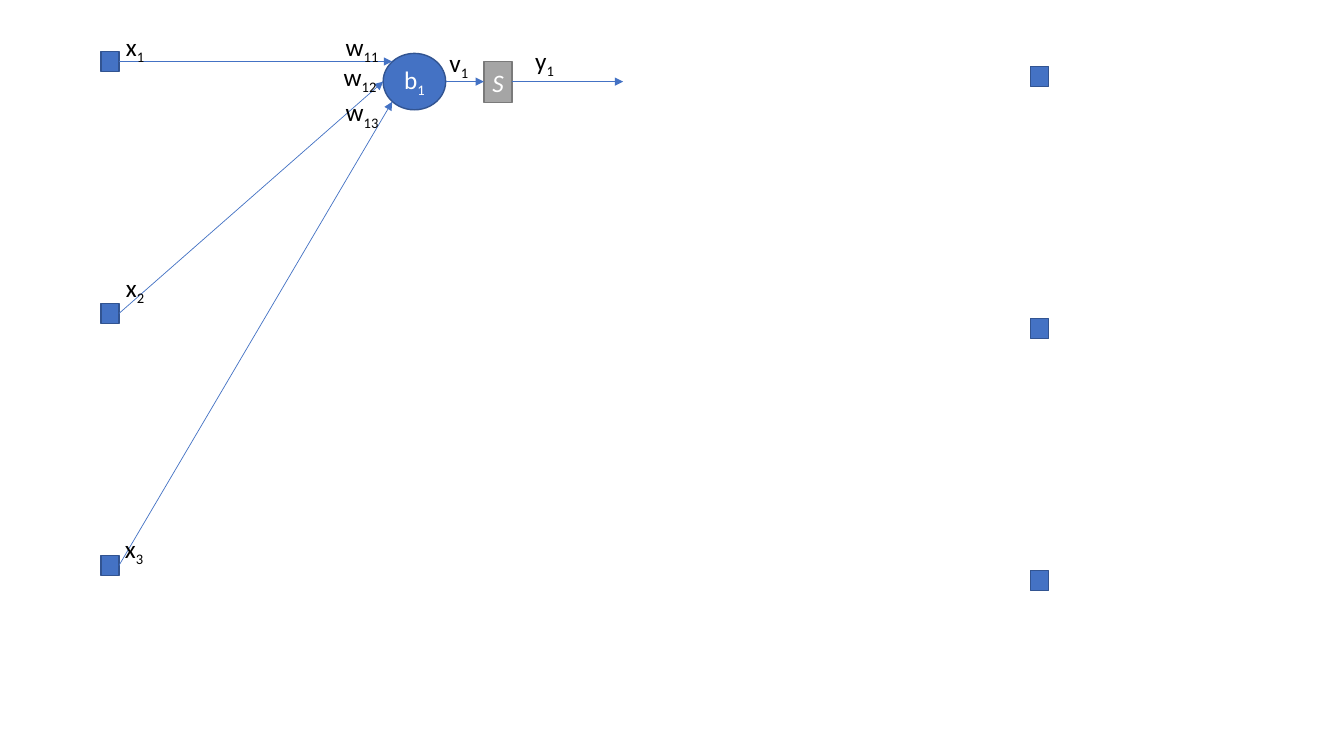
from typing import NamedTuple

from lxml import etree
from pptx import Presentation, util as u
from pptx.dml.color import RGBColor
from pptx.enum import shapes, text
from pptx.oxml import ns

BLUE = RGBColor(0x44, 0x72, 0xC4)
DARK_BLUE = RGBColor(0x32, 0x54, 0x91)
GRAY = RGBColor(0xA5, 0xA5, 0xA5)
DARK_GRAY = RGBColor(0x7A, 0x7A, 0x7A)
WHITE = RGBColor(0xFF, 0xFF, 0xFF)
BLACK = RGBColor(0, 0, 0)
GRID = u.Inches(0.1)
NODE_WIDTH, NODE_HEIGHT, NODE_PITCH = 1.8, 2, 25
INPUT_LEFT, INPUT_TOP = 10, 5.1
OUTPUT_LEFT, OUTPUT_TOP = 102.2, 6.6
AXIS = 8.1


class Block(NamedTuple):
    """A filled preset shape, placed in grid columns and rows."""
    left: float
    top: float
    width: float = NODE_WIDTH
    height: float = NODE_HEIGHT
    preset: shapes.MSO_SHAPE = shapes.MSO_SHAPE.RECTANGLE
    fill: RGBColor = BLUE
    outline: RGBColor = DARK_BLUE
    symbol: str = ""
    subscript: str = ""
    italic: bool = False


class Arrow(NamedTuple):
    """A signal path between two grid points."""
    start_column: float
    start_row: float
    end_column: float
    end_row: float


class Label(NamedTuple):
    """A subscripted symbol at a grid position."""
    left: float
    top: float
    symbol: str
    subscript: str
    width: float = 4


def grid(*cells: float) -> list[u.Emu]:
    """Convert grid counts to slide lengths."""
    return [u.Emu(round(cell * GRID)) for cell in cells]


def write_symbol(paragraph, symbol: str, subscript: str, color: RGBColor, italic: bool = False) -> None:
    """Write a symbol followed by its subscript."""
    font = paragraph.font
    font.name, font.size, font.italic = "Calibri", u.Pt(18), italic
    font.color.rgb = color
    paragraph.add_run().text = symbol
    if subscript:
        index = paragraph.add_run()
        index.text = subscript
        index._r.get_or_add_rPr().set("baseline", "-25000")


def draw_block(canvas, block: Block) -> None:
    """Draw a block with its centred symbol, if any."""
    shape = canvas.add_shape(block.preset, *grid(block.left, block.top, block.width, block.height))
    shape.shadow.inherit = False
    shape.fill.solid()
    shape.fill.fore_color.rgb = block.fill
    shape.line.color.rgb = block.outline
    shape.line.width = u.Pt(1)
    if block.symbol:
        frame = shape.text_frame
        frame.margin_left = frame.margin_right = 0
        frame.vertical_anchor = text.MSO_ANCHOR.MIDDLE
        paragraph = frame.paragraphs[0]
        paragraph.alignment = text.PP_ALIGN.CENTER
        write_symbol(paragraph, block.symbol, block.subscript, WHITE, block.italic)


def draw_arrow(canvas, arrow: Arrow) -> None:
    """Draw a thin line with a triangular head."""
    connector = canvas.add_connector(shapes.MSO_CONNECTOR.STRAIGHT, *grid(*arrow))
    connector.line.color.rgb = BLUE
    connector.line.width = u.Pt(0.5)
    etree.SubElement(connector.line._get_or_add_ln(), ns.qn("a:tailEnd"), type="triangle")
    etree.SubElement(connector._element.spPr, ns.qn("a:effectLst"))


def draw_label(canvas, label: Label) -> None:
    """Draw an unwrapped symbol."""
    box = canvas.add_textbox(*grid(label.left, label.top, label.width, 4))
    frame = box.text_frame
    frame.word_wrap = False
    frame.auto_size = text.MSO_AUTO_SIZE.SHAPE_TO_FIT_TEXT
    write_symbol(frame.paragraphs[0], label.symbol, label.subscript, BLACK)


presentation = Presentation()
presentation.slide_width = u.Inches(13.33)
presentation.slide_height = u.Inches(7.5)
slide = presentation.slides.add_slide(presentation.slide_layouts[6])

inputs = [Block(INPUT_LEFT, INPUT_TOP + i * NODE_PITCH) for i in range(3)]
outputs = [Block(OUTPUT_LEFT, OUTPUT_TOP + i * NODE_PITCH) for i in range(3)]
neuron = Block(38, 5.3, 6.2, 5.6, shapes.MSO_SHAPE.OVAL, symbol="b", subscript="1")
activation = Block(48, 6.1, 2.8, 4.1, fill=GRAY, outline=DARK_GRAY, symbol="S", italic=True)
for block in [*inputs, neuron, *outputs, activation]:
    draw_block(slide.shapes, block)

neuron_right = neuron.left + neuron.width
activation_right = activation.left + activation.width
signals = [
    (Arrow(neuron_right, AXIS, activation.left, AXIS), Label(43.6, 4.2, "v", "1")),
    (Arrow(activation_right, AXIS, 61.8, AXIS), Label(52.1, 4, "y", "1")),
]
for arrow, label in signals:
    signal = slide.shapes.add_group_shape().shapes
    draw_arrow(signal, arrow)
    draw_label(signal, label)

neuron_entries = [(38.9, 6.1), (38, AXIS), (38.9, 10.1)]
for source, entry in zip(inputs, neuron_entries):
    draw_arrow(slide.shapes, Arrow(source.left + NODE_WIDTH, source.top + NODE_HEIGHT / 2, *entry))

weight_places = [(33.3, 2.6), (33.1, 5.6), (33.3, 9.1)]
input_places = [(11.5, 2.6), (11.5, 26.5), (11.4, 52.4)]
for number, place in enumerate(weight_places, 1):
    draw_label(slide.shapes, Label(*place, "w", f"1{number}", 5.5))
for number, place in enumerate(input_places, 1):
    draw_label(slide.shapes, Label(*place, "x", str(number)))

presentation.save("out.pptx")
